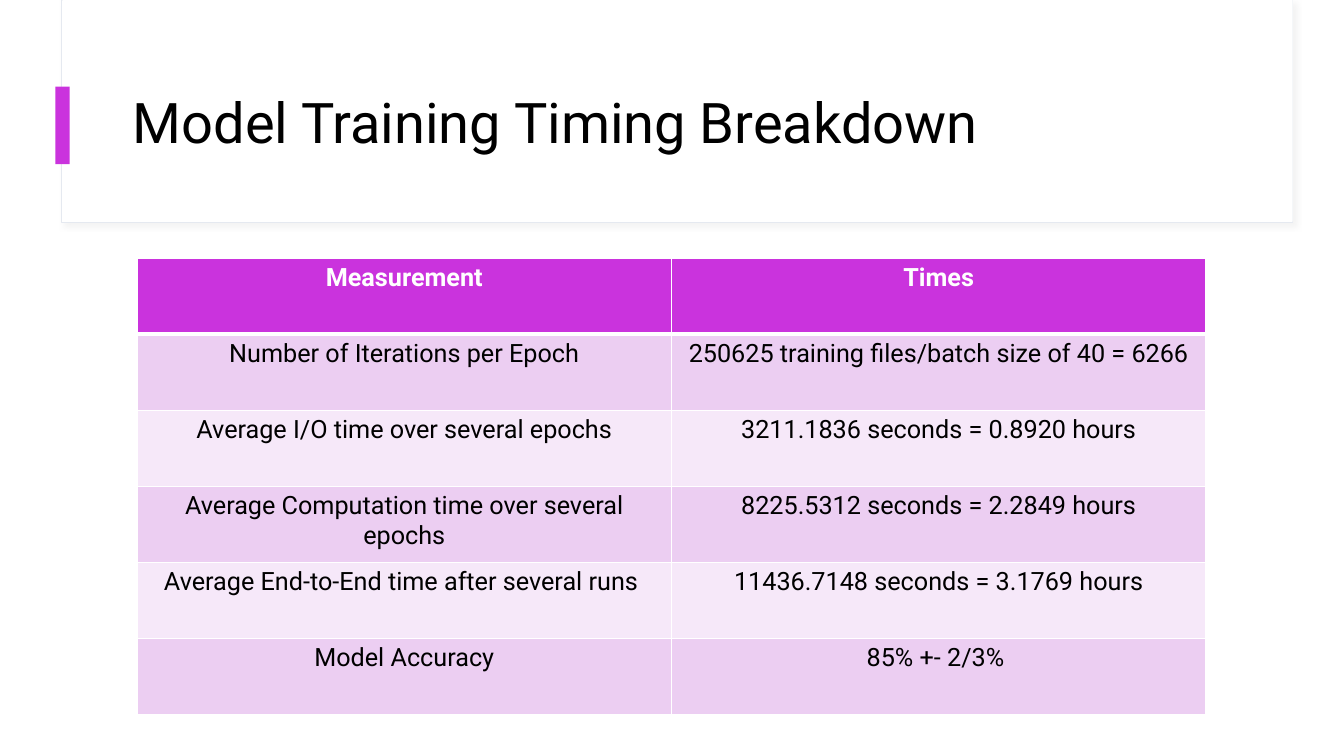
from typing import NamedTuple, Optional

from lxml import etree
from pptx import Presentation
from pptx.dml.color import RGBColor
from pptx.enum import shapes, text
from pptx.oxml import ns
from pptx.util import Inches, Pt

FONT = "Roboto"
WHITE, BLACK, ACCENT = "FFFFFF", "000000", "CA33DD"
BANDS = ("ECCEF2", "F6E8F9")


class Panel(NamedTuple):
    left: float
    top: float
    width: float
    height: float
    fill: str
    outline: Optional[str] = None
    shadow: Optional[str] = None


PANELS = [
    Panel(0.61, 0, 12.21, 2.21, WHITE, outline="E5E9F0", shadow="D9D9D9"),
    Panel(0.62, 0, 12.2, 2.2, WHITE),
    Panel(0.55, 0.86, 0.14, 0.77, ACCENT),
]

TIMINGS = [
    ("Measurement", "Times"),
    ("Number of Iterations per Epoch", "250625 training files/batch size of 40 = 6266"),
    ("Average I/O time over several epochs", "3211.1836 seconds = 0.8920 hours"),
    ("Average Computation time over several epochs", "8225.5312 seconds = 2.2849 hours"),
    ("Average End-to-End time after several runs ", "11436.7148 seconds = 3.1769 hours"),
    ("Model Accuracy", "85% +- 2/3% "),
]


def color(value: str) -> RGBColor:
    return RGBColor.from_string(value)


def set_font(paragraph, size: float, value: str, bold: bool = False) -> None:
    font = paragraph.font
    font.name, font.size, font.bold = FONT, Pt(size), bold
    font.color.rgb = color(value)


def add_solid(parent, value: str) -> None:
    fill = etree.SubElement(parent, ns.qn("a:solidFill"))
    etree.SubElement(fill, ns.qn("a:srgbClr"), val=value)


def add_shadow(shape, value: str) -> None:
    effects = shape._element.spPr.find(ns.qn("a:effectLst"))
    outer = etree.SubElement(
        effects, ns.qn("a:outerShdw"), blurRad=str(Pt(4)), dist=str(Pt(3)),
        dir=str(45 * 60000), algn="tl", rotWithShape="0")
    tint = etree.SubElement(outer, ns.qn("a:srgbClr"), val=value)
    etree.SubElement(tint, ns.qn("a:alpha"), val="30000")


def add_panel(slide, panel: Panel) -> None:
    shape = slide.shapes.add_shape(
        shapes.MSO_SHAPE.RECTANGLE, Inches(panel.left), Inches(panel.top),
        Inches(panel.width), Inches(panel.height))
    shape.shadow.inherit = False
    shape.fill.solid()
    shape.fill.fore_color.rgb = color(panel.fill)
    if panel.outline:
        shape.line.color.rgb = color(panel.outline)
        shape.line.width = Pt(0.75)
    else:
        shape.line.fill.background()
    if panel.shadow:
        add_shadow(shape, panel.shadow)


def set_borders(cell, top: float, bottom: float) -> None:
    sides = (("L", 1), ("R", 1), ("T", top), ("B", bottom))
    properties = cell._tc.get_or_add_tcPr()
    for index, (side, width) in enumerate(sides):
        border = etree.Element(ns.qn(f"a:ln{side}"), w=str(Pt(width)))
        add_solid(border, WHITE)
        properties.insert(index, border)


def add_timing_table(slide) -> None:
    width, height = Inches(10.6), Inches(4.53)
    table = slide.shapes.add_table(
        len(TIMINGS), 2, Inches(1.36), Inches(2.56), width, height).table
    for row_index, timing in enumerate(TIMINGS):
        header = row_index == 0
        table.rows[row_index].height = height // len(TIMINGS)
        for column_index, wording in enumerate(timing):
            cell = table.cell(row_index, column_index)
            cell.text = wording
            cell.fill.solid()
            cell.fill.fore_color.rgb = color(ACCENT if header else BANDS[(row_index - 1) % 2])
            paragraph = cell.text_frame.paragraphs[0]
            paragraph.alignment = text.PP_ALIGN.CENTER
            set_font(paragraph, 18, WHITE if header else BLACK, bold=header)
            set_borders(cell, top=3 if row_index == 1 else 1, bottom=3 if header else 1)


def add_title(slide, wording: str) -> None:
    frame = slide.shapes.add_textbox(
        Inches(1.22), Inches(0.6), Inches(11.12), Inches(1.29)).text_frame
    frame.word_wrap = True
    frame.vertical_anchor = text.MSO_ANCHOR.MIDDLE
    frame.text = wording
    paragraph = frame.paragraphs[0]
    paragraph.line_spacing = 0.9
    set_font(paragraph, 40, BLACK)


presentation = Presentation()
presentation.slide_width, presentation.slide_height = Inches(13.33), Inches(7.5)
slide = presentation.slides.add_slide(presentation.slide_layouts[6])

# Title band with its accent bar
for panel in PANELS:
    add_panel(slide, panel)
add_title(slide, "Model Training Timing Breakdown")

# Timing table
add_timing_table(slide)

presentation.save("out.pptx")
